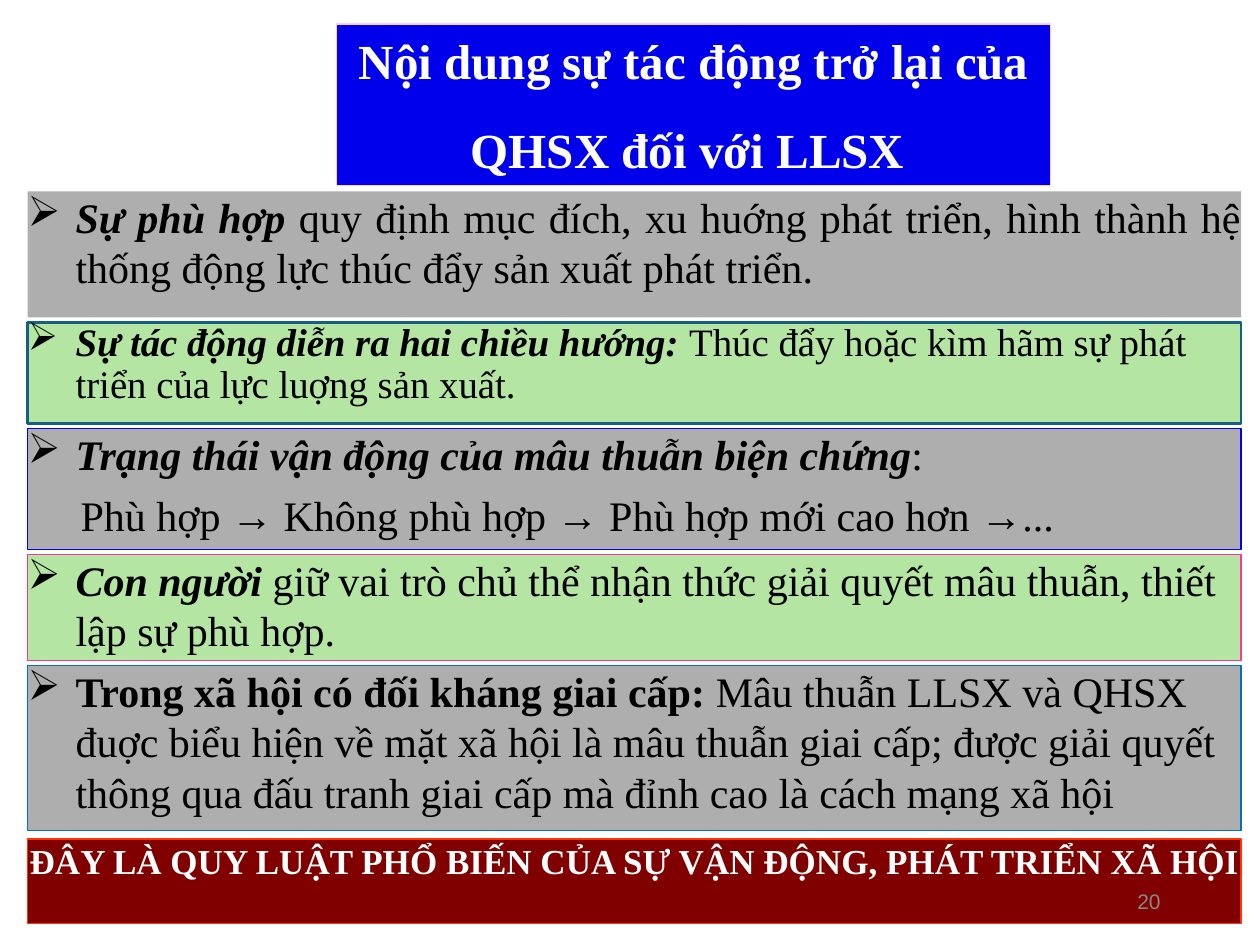
from lxml.etree import SubElement
from pptx import Presentation
from pptx.dml.color import RGBColor
from pptx.enum.shapes import MSO_SHAPE
from pptx.enum.text import MSO_ANCHOR, MSO_AUTO_SIZE, PP_ALIGN
from pptx.oxml.ns import qn
from pptx.util import Inches, Pt

BLACK = RGBColor(0x00, 0x00, 0x00)
WHITE = RGBColor(0xFF, 0xFF, 0xFF)
GRAY = RGBColor(0xAE, 0xAE, 0xAE)
GREEN = RGBColor(0xB4, 0xE5, 0xA2)
BLUE = RGBColor(0x00, 0x00, 0xEA)
TEAL = RGBColor(0x15, 0x60, 0x82)
SKY = RGBColor(0x00, 0x70, 0xC0)
PINK = RGBColor(0xFF, 0x33, 0x99)
PALE_PINK = RGBColor(0xFF, 0xCC, 0xFF)
MAROON = RGBColor(0x80, 0x00, 0x00)
ORANGE = RGBColor(0xFF, 0x33, 0x00)
NUMBER_GRAY = RGBColor(0x89, 0x89, 0x89)

SERIF, SANS = "Times New Roman", "Arial"
WIDTH, HEIGHT = 10, 7.5
LEFT, BAND_WIDTH = 0.22, 9.63
FIRST_TOP, GAP = 1.52, 0.04
HANGING, STEP_INDENT = 0.38, 0.42
BAR_HEIGHT, BOTTOM_MARGIN = 0.67, 0.17

TITLE = ["Nội dung sự tác động trở lại của", "QHSX đối với LLSX "]
CONCLUSION = "ĐÂY LÀ QUY LUẬT PHỔ BIẾN CỦA SỰ VẬN ĐỘNG, PHÁT TRIỂN XÃ HỘI"
PAGE_NUMBER = "20"
STEPS = ["Phù hợp ", "→", " Không phù hợp ", "→", " Phù hợp mới cao hơn ", "→", "..."]
BANDS = [
    dict(lead="Sự phù hợp",
         rest=" quy định mục đích, xu huớng phát triển, hình thành hệ thống động lực "
              "thúc đẩy sản xuất phát triển.",
         height=1, fill=GRAY, align=PP_ALIGN.JUSTIFY),
    dict(lead="Sự tác động diễn ra hai chiều hướng: ",
         rest="Thúc đẩy hoặc kìm hãm sự phát triển của lực luợng sản xuất.",
         height=0.8, fill=GREEN, line=TEAL, line_width=1.5, size=22.2, spacing=0.9),
    dict(lead="Trạng thái vận động của mâu thuẫn biện chứng", rest=":",
         height=0.96, fill=GRAY, line=BLUE, steps=STEPS),
    dict(lead="Con người",
         rest=" giữ vai trò chủ thể nhận thức giải quyết mâu thuẫn, thiết lập sự phù hợp.",
         height=0.84, fill=GREEN, line=PINK),
    dict(lead="Trong xã hội có đối kháng giai cấp: ",
         rest="Mâu thuẫn LLSX và QHSX đuợc biểu hiện về mặt xã hội là mâu thuẫn giai cấp; "
              "được giải quyết thông qua đấu tranh giai cấp mà đỉnh cao là cách mạng xã hội",
         height=1.31, fill=GRAY, line=SKY, italic=False),
]


def place(shape, left, top, width, height):
    shape.left, shape.top = Inches(left), Inches(top)
    shape.width, shape.height = Inches(width), Inches(height)


def paint(shape, fill, line=None, line_width=0.75):
    shape.fill.solid()
    shape.fill.fore_color.rgb = fill
    if line is None:
        shape.line.fill.background()
    else:
        shape.line.color.rgb = line
        shape.line.width = Pt(line_width)


def prepare(frame, inset=(0, 0), anchor=MSO_ANCHOR.TOP):
    frame.word_wrap = True
    frame.auto_size = MSO_AUTO_SIZE.NONE
    frame.vertical_anchor = anchor
    frame.margin_left = frame.margin_right = Inches(inset[0])
    frame.margin_top = frame.margin_bottom = Inches(inset[1])


def add_span(para, text, size, color, bold=False, italic=False, font=SERIF):
    span = para.add_run()
    span.text = text
    span.font.name, span.font.size = font, Pt(size)
    span.font.bold, span.font.italic = bold, italic
    span.font.color.rgb = color


def indent(para, left, bullet=False):
    properties = para._p.get_or_add_pPr()
    properties.set("marL", str(Inches(left)))
    properties.set("indent", str(-Inches(left) if bullet else 0))
    if bullet:
        color = SubElement(properties, qn("a:buClr"))
        SubElement(color, qn("a:srgbClr"), val=str(BLACK))
        SubElement(properties, qn("a:buChar"), char="➢")


def add_box(slide, top, height, fill, line=None, line_width=0.75):
    box = slide.shapes.add_shape(MSO_SHAPE.RECTANGLE, 0, 0, 0, 0)
    place(box, LEFT, top, BAND_WIDTH, height)
    box.shadow.inherit = False
    paint(box, fill, line, line_width)
    prepare(box.text_frame)
    return box


def add_band(slide, top, band):
    box = add_box(slide, top, band["height"], band["fill"],
                  band.get("line"), band.get("line_width", 0.75))
    size = band.get("size", 24)
    para = box.text_frame.paragraphs[0]
    para.alignment = band.get("align", PP_ALIGN.LEFT)
    para.line_spacing = band.get("spacing", 1.0)
    indent(para, HANGING, bullet=True)
    add_span(para, band["lead"], size, BLACK, True, band.get("italic", True))
    add_span(para, band["rest"], size, BLACK)
    if "steps" in band:
        para = box.text_frame.add_paragraph()
        para.alignment = PP_ALIGN.LEFT
        para.space_before = Pt(6)
        indent(para, STEP_INDENT)
        for step in band["steps"]:
            add_span(para, step, size, BLACK, font=SANS if step == "→" else SERIF)


def add_title(slide):
    title = slide.shapes.title
    place(title, 2.67, 0.19, 5.67, 1.28)
    paint(title, BLUE, PALE_PINK)
    frame = title.text_frame
    prepare(frame, (0.1, 0.05))
    for index, text in enumerate(TITLE):
        para = frame.add_paragraph() if index else frame.paragraphs[0]
        para.alignment = PP_ALIGN.CENTER
        para.space_before = Pt(17.5 if index else 0)
        add_span(para, text, 28, WHITE, True)


def add_conclusion(slide):
    box = add_box(slide, HEIGHT - BOTTOM_MARGIN - BAR_HEIGHT, BAR_HEIGHT, MAROON, ORANGE)
    para = box.text_frame.paragraphs[0]
    para.alignment = PP_ALIGN.CENTER
    add_span(para, CONCLUSION, 20, WHITE, True)


def add_page_number(slide):
    box = slide.shapes.add_textbox(0, 0, 0, 0)
    place(box, 7.06, 6.95, 2.25, 0.4)
    prepare(box.text_frame, (0.1, 0.05), MSO_ANCHOR.MIDDLE)
    para = box.text_frame.paragraphs[0]
    para.alignment = PP_ALIGN.RIGHT
    add_span(para, PAGE_NUMBER, 12, NUMBER_GRAY, font=SANS)


def main():
    """Build the slide on how production relations act back on productive forces."""
    deck = Presentation()
    deck.slide_width, deck.slide_height = Inches(WIDTH), Inches(HEIGHT)
    slide = deck.slides.add_slide(deck.slide_layouts[5])
    add_title(slide)
    top = FIRST_TOP
    for band in BANDS:
        add_band(slide, top, band)
        top += band["height"] + GAP
    add_conclusion(slide)
    add_page_number(slide)
    deck.save("out.pptx")


if __name__ == "__main__":
    main()
